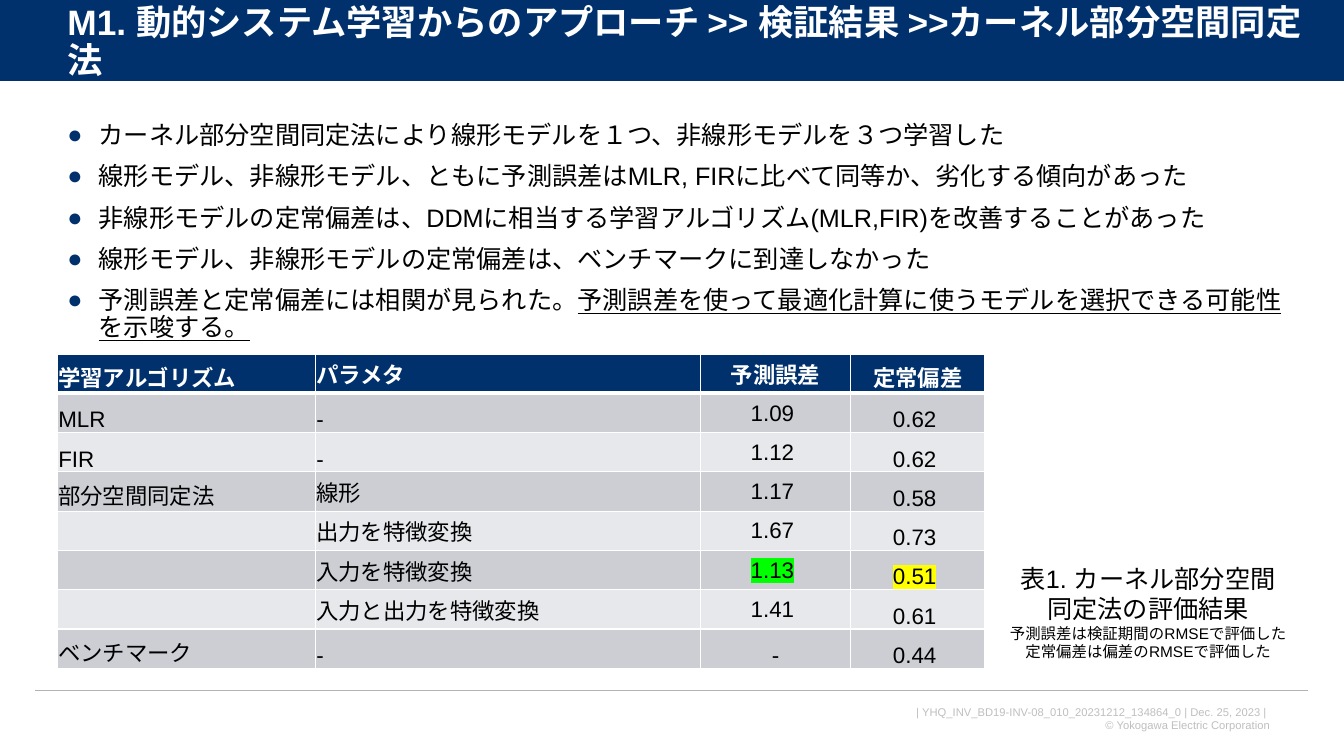
from lxml.etree import SubElement
from pptx import Presentation
from pptx.dml.color import RGBColor
from pptx.enum.lang import MSO_LANGUAGE_ID
from pptx.enum.shapes import MSO_CONNECTOR, MSO_SHAPE
from pptx.enum.text import MSO_ANCHOR, PP_ALIGN
from pptx.oxml.ns import qn
from pptx.util import Cm, Pt

NAVY, WHITE, BLACK = "00316C", "FFFFFF", "000000"
FOOTER_GREY, RULE_GREY = "BFBFBF", "B2B2B2"
BAND_DARK, BAND_LIGHT = "CCCED4", "E7E8EB"
GREEN, YELLOW = "00FF00", "FFFF00"
LEFT, CENTER, RIGHT = PP_ALIGN.LEFT, PP_ALIGN.CENTER, PP_ALIGN.RIGHT
TOP, MIDDLE, BOTTOM = MSO_ANCHOR.TOP, MSO_ANCHOR.MIDDLE, MSO_ANCHOR.BOTTOM


def color(hex_value):
    return RGBColor.from_string(hex_value)


class SlideBuilder:
    font = "Arial"

    def __init__(self, slide):
        self.slide = slide

    def run(self, paragraph, text, size, ink=BLACK, bold=False, underline=False, highlight=None):
        run = paragraph.add_run()
        run.text = text
        font = run.font
        font.name, font.size, font.bold = self.font, Pt(size), bold
        font.color.rgb = color(ink)
        font.language_id = MSO_LANGUAGE_ID.JAPANESE
        if underline:
            font.underline = True
        if highlight:
            properties = run._r.get_or_add_rPr()
            marker = SubElement(properties, qn("a:highlight"))
            SubElement(marker, qn("a:srgbClr"), val=highlight)
            properties.find(qn("a:solidFill")).addnext(marker)

    def text(self, x, y, width, height, anchor=TOP):
        frame = self.slide.shapes.add_textbox(Cm(x), Cm(y), Cm(width), Cm(height)).text_frame
        frame.word_wrap = True
        frame.vertical_anchor = anchor
        return frame

    def paragraph(self, frame, index, align=LEFT, line_spacing=None):
        paragraph = frame.add_paragraph() if index else frame.paragraphs[0]
        paragraph.alignment = align
        if line_spacing:
            paragraph.line_spacing = line_spacing
        return paragraph

    def bullet(self, paragraph, indent, mark="●"):
        properties = paragraph._p.get_or_add_pPr()
        properties.set("marL", str(Cm(indent)))
        properties.set("indent", str(-Cm(indent)))
        SubElement(SubElement(properties, qn("a:buClr")), qn("a:srgbClr"), val=NAVY)
        SubElement(properties, qn("a:buFont"), typeface=self.font)
        SubElement(properties, qn("a:buChar"), char=mark)

    def band(self, x, y, width, height, fill):
        band = self.slide.shapes.add_shape(
            MSO_SHAPE.RECTANGLE, Cm(x), Cm(y), Cm(width), Cm(height))
        band.shadow.inherit = False
        band.fill.solid()
        band.fill.fore_color.rgb = color(fill)
        band.line.fill.background()

    def rule(self, x1, x2, y, ink, weight):
        rule = self.slide.shapes.add_connector(
            MSO_CONNECTOR.STRAIGHT, Cm(x1), Cm(y), Cm(x2), Cm(y))
        rule.line.color.rgb = color(ink)
        rule.line.width = Pt(weight)
        SubElement(rule._element.spPr, qn("a:effectLst"))

    def table(self, x, y, widths, row_height, row_count):
        table = self.slide.shapes.add_table(
            row_count, len(widths), Cm(x), Cm(y),
            Cm(sum(widths)), Cm(row_height * row_count)).table
        for column, width in zip(table.columns, widths):
            column.width = Cm(width)
        for row in table.rows:
            row.height = Cm(row_height)
        return table

    def cell(self, cell, fill, anchor, top_weight=1, bottom_weight=1):
        cell.margin_left = cell.margin_right = cell.margin_top = Cm(0.02)
        cell.margin_bottom = 0
        cell.vertical_anchor = anchor
        weights = {"a:lnL": 1, "a:lnR": 1, "a:lnT": top_weight, "a:lnB": bottom_weight}
        for side, weight in weights.items():
            border = SubElement(cell._tc.get_or_add_tcPr(), qn(side), w=str(Pt(weight)))
            SubElement(SubElement(border, qn("a:solidFill")), qn("a:srgbClr"), val=WHITE)
        cell.fill.solid()
        cell.fill.fore_color.rgb = color(fill)


TITLE = "M1. 動的システム学習からのアプローチ >> 検証結果 >>カーネル部分空間同定法"
FINDINGS = [
    ("カーネル部分空間同定法により線形モデルを１つ、非線形モデルを３つ学習した", ""),
    ("線形モデル、非線形モデル、ともに予測誤差はMLR, FIRに比べて同等か、劣化する傾向があった", ""),
    ("非線形モデルの定常偏差は、DDMに相当する学習アルゴリズム(MLR,FIR)を改善することがあった", ""),
    ("線形モデル、非線形モデルの定常偏差は、ベンチマークに到達しなかった", ""),
    ("予測誤差と定常偏差には相関が見られた。",
     "予測誤差を使って最適化計算に使うモデルを選択できる可能性を示唆する。"),
]
RESULTS = [
    ("学習アルゴリズム", "パラメタ", "予測誤差", "定常偏差"),
    ("MLR", "-", "1.09", "0.62"),
    ("FIR", "-", "1.12", "0.62"),
    ("部分空間同定法", "線形", "1.17", "0.58"),
    ("", "出力を特徴変換", "1.67", "0.73"),
    ("", "入力を特徴変換", "1.13", "0.51"),
    ("", "入力と出力を特徴変換", "1.41", "0.61"),
    ("ベンチマーク", "-", "-", "0.44"),
]
BEST = {"1.13": GREEN, "0.51": YELLOW}
CAPTION = [
    ("表1. カーネル部分空間", 18),
    ("同定法の評価結果", 18),
    ("予測誤差は検証期間のRMSEで評価した", 11),
    ("定常偏差は偏差のRMSEで評価した", 11),
]
FOOTER = [
    "| YHQ_INV_BD19-INV-08_010_20231212_134864_0 | Dec. 25, 2023 | ",
    "© Yokogawa Electric Corporation",
]


def main():
    deck = Presentation()
    deck.slide_width, deck.slide_height = Cm(33.87), Cm(19.05)
    page = SlideBuilder(deck.slides.add_slide(deck.slide_layouts[6]))

    # Footer, title band and rules
    footer = page.text(22.76, 17.65, 9.5, 0.94)
    for index, line in enumerate(FOOTER):
        page.run(page.paragraph(footer, index, RIGHT), line, 8, FOOTER_GREY)
    page.band(0, 0, 33.87, 2.06, NAVY)
    page.rule(0, 33.87, 2.06, WHITE, 0.75)
    page.rule(0.89, 32.97, 17.4, RULE_GREY, 1)

    # Title
    title = page.text(1.45, 0.36, 31.67, 1.45, MIDDLE)
    page.run(page.paragraph(title, 0, line_spacing=0.9), TITLE, 25.2, WHITE, bold=True)

    # Findings
    findings = page.text(1.45, 2.97, 31.5, 4.19)
    for index, (statement, conclusion) in enumerate(FINDINGS):
        finding = page.paragraph(findings, index, line_spacing=0.9)
        if index:
            finding.space_before = Pt(10)
        page.bullet(finding, 0.79)
        page.run(finding, statement, 18)
        if conclusion:
            page.run(finding, conclusion, 18, underline=True)

    # Table caption
    caption = page.text(25.2, 14.07, 7.47, 2.74)
    for index, (line, size) in enumerate(CAPTION):
        page.run(page.paragraph(caption, index, CENTER), line, size)

    # Results table
    results = page.table(1.45, 8.92, [6.5, 9.7, 3.79, 3.38], 0.99, len(RESULTS))
    for r, entries in enumerate(RESULTS):
        header = r == 0
        fill = NAVY if header else BAND_DARK if r % 2 else BAND_LIGHT
        for c, entry in enumerate(entries):
            cell = results.cell(r, c)
            centred = c in (1, 2) and entry != "-"
            page.cell(cell, fill, MIDDLE if centred else BOTTOM,
                      top_weight=3 if r == 1 else 1, bottom_weight=3 if header else 1)
            if not entry:
                continue
            paragraph = page.paragraph(cell.text_frame, 0, CENTER if c > 1 else LEFT)
            page.run(paragraph, entry, 16, WHITE if header else BLACK, bold=header,
                     highlight=BEST.get(entry))
            if c > 1 and not header and entry != "-":
                page.run(paragraph, " ", 16)

    deck.save("out.pptx")


if __name__ == "__main__":
    main()
